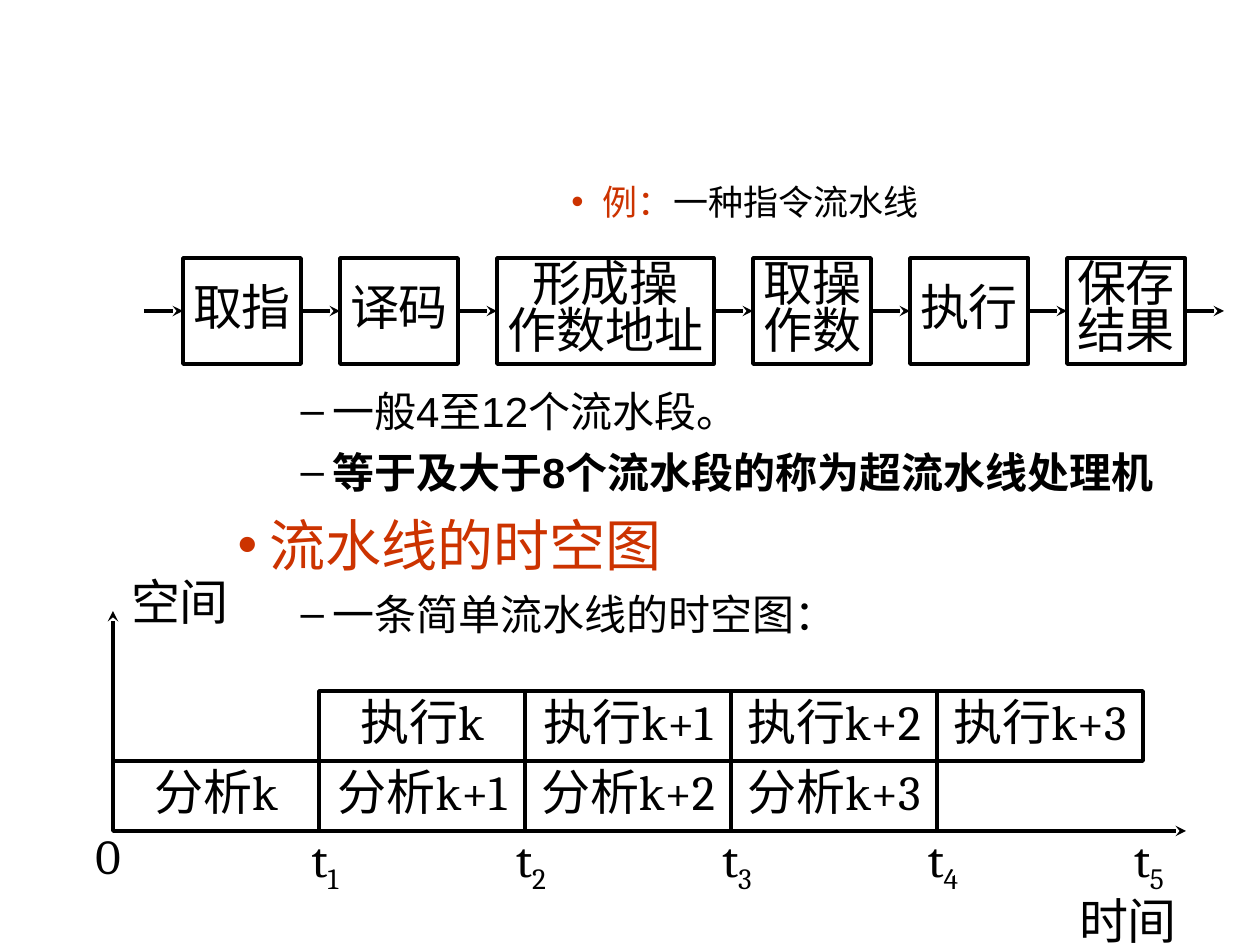
from lxml.etree import SubElement
from pptx import Presentation
from pptx.dml.color import RGBColor
from pptx.enum.shapes import MSO_CONNECTOR, MSO_SHAPE
from pptx.enum.text import MSO_ANCHOR, MSO_AUTO_SIZE, PP_ALIGN
from pptx.oxml.ns import qn
from pptx.util import Emu, Inches, Pt

PX = 914400 / 126
BLACK, RED = "000000", "CC3300"


def style(r, size, color=BLACK, name="Arial", bold=False):
    r.font.size, r.font.name, r.font.bold = Pt(size), name, bold
    r.font.color.rgb = RGBColor.from_string(color)


def label(s, text):
    """Write centred diagram text into a rectangle or text box."""
    tf = s.text_frame
    tf.text = text
    tf.word_wrap = False
    tf.vertical_anchor = MSO_ANCHOR.MIDDLE
    tf.margin_left = tf.margin_right = Inches(0.08)
    tf.margin_top = tf.margin_bottom = Inches(0.04)
    for p in tf.paragraphs:
        p.alignment, p.line_spacing = PP_ALIGN.CENTER, 0.8
        for r in p.runs:
            style(r, 28, name="Cambria")


prs = Presentation()
prs.slide_width, prs.slide_height = Inches(10), Inches(7.5)
slide = prs.slides.add_slide(prs.slide_layouts[1])
title = slide.shapes.title.element
title.getparent().remove(title)

# Bullets: level, size, space before, bold, runs with colours
bullets = [
    (2, 20, 0, False, [("例：", RED), ("一种指令流水线", BLACK)]),
    (3, 24, 93, False, [("一般4至12个流水段。", BLACK)]),
    (3, 24, 6, True, [("等于及大于8个流水段的称为超流水线处理机", BLACK)]),
    (2, 32, 8, False, [("流水线的时空图", RED)]),
    (3, 24, 6, False, [("一条简单流水线的时空图：", BLACK)]),
]
body = slide.placeholders[1]
body.left, body.top, body.width, body.height = [
    Emu(round(v * PX)) for v in (99, 174, 1166, 516)]
tf = body.text_frame
tf.auto_size = MSO_AUTO_SIZE.NONE
tf.vertical_anchor = MSO_ANCHOR.TOP
for i, (level, size, before, bold, runs) in enumerate(bullets):
    p = tf.paragraphs[0] if i == 0 else tf.add_paragraph()
    p.level, p.space_before = level, Pt(before)
    for text, color in runs:
        r = p.add_run()
        r.text = text
        style(r, size, color, bold=bold)
tf.paragraphs[0].alignment = PP_ALIGN.CENTER

# Rectangles: pipeline stages, then the cells of the space-time chart
GAP, STAGE_LEFT, STAGE_TOP, STAGE_H = 39, 183, 258, 106
CELL_W, CELL_H, ORIGIN_X, ORIGIN_Y = 206, 70, 113, 831
stages = [("取指", 118), ("译码", 118), ("形成操\v作数地址", 217),
          ("取操\n作数", 118), ("执行", 118), ("保存\n结果", 118)]
rects = []
x = STAGE_LEFT
for text, width in stages:
    rects.append((text, x, STAGE_TOP, width, STAGE_H))
    x += width + GAP
for row, phase in enumerate(("分析", "执行")):
    for k in range(4):
        text = f"{phase}k+{k}" if k else f"{phase}k"
        rects.append((text, ORIGIN_X + CELL_W * (k + row),
                      ORIGIN_Y - CELL_H * (row + 1), CELL_W, CELL_H))

boxes = []
for text, *place in rects:
    s = slide.shapes.add_shape(MSO_SHAPE.RECTANGLE, *[Emu(round(v * PX)) for v in place])
    s.shadow.inherit = False
    s.fill.background()
    s.line.color.rgb = RGBColor.from_string(BLACK)
    s.line.width = Pt(2)
    label(s, text)
    boxes.append(s)
boxes = boxes[:len(stages)]

# Arrows: between stages, then the two axes
mid = STAGE_TOP + STAGE_H // 2
arrows = [(STAGE_LEFT - GAP, mid, STAGE_LEFT, mid, None, boxes[0])]
for i, (_, left, _, width, _) in enumerate(rects[:len(stages)]):
    after = boxes[i + 1] if i + 1 < len(boxes) else None
    arrows.append((left + width, mid, left + width + GAP, mid, boxes[i], after))
arrows += [(ORIGIN_X, ORIGIN_Y, 1186, ORIGIN_Y, None, None),
           (ORIGIN_X, ORIGIN_Y, ORIGIN_X, 611, None, None)]
for *ends, before, after in arrows:
    c = slide.shapes.add_connector(MSO_CONNECTOR.STRAIGHT,
                                   *[Emu(round(v * PX)) for v in ends])
    c.line.color.rgb = RGBColor.from_string(BLACK)
    c.line.width = Pt(2)
    SubElement(c.line._get_or_add_ln(), qn("a:tailEnd"), type="stealth")
    SubElement(c._element.spPr, qn("a:effectLst"))
    if before:
        c.begin_connect(before, 3)
    if after:
        c.end_connect(after, 1)

# Axis names and time marks
marks = [("时间", 1061, 891, 134, 69), ("空间", 113, 572, 134, 69),
         ("0", 72, ORIGIN_Y, 72, 59)]
marks += [(f"t{i}", 83 + CELL_W * i, ORIGIN_Y, 72, 59) for i in range(1, 6)]
for text, *place in marks:
    s = slide.shapes.add_textbox(*[Emu(round(v * PX)) for v in place])
    if text[0] == "t":
        label(s, "t")
        r = s.text_frame.paragraphs[0].add_run()
        r.text = text[1]
        style(r, 29, name="Cambria")
        r.font._element.set("baseline", "-25000")
    else:
        label(s, text)

prs.save("out.pptx")
